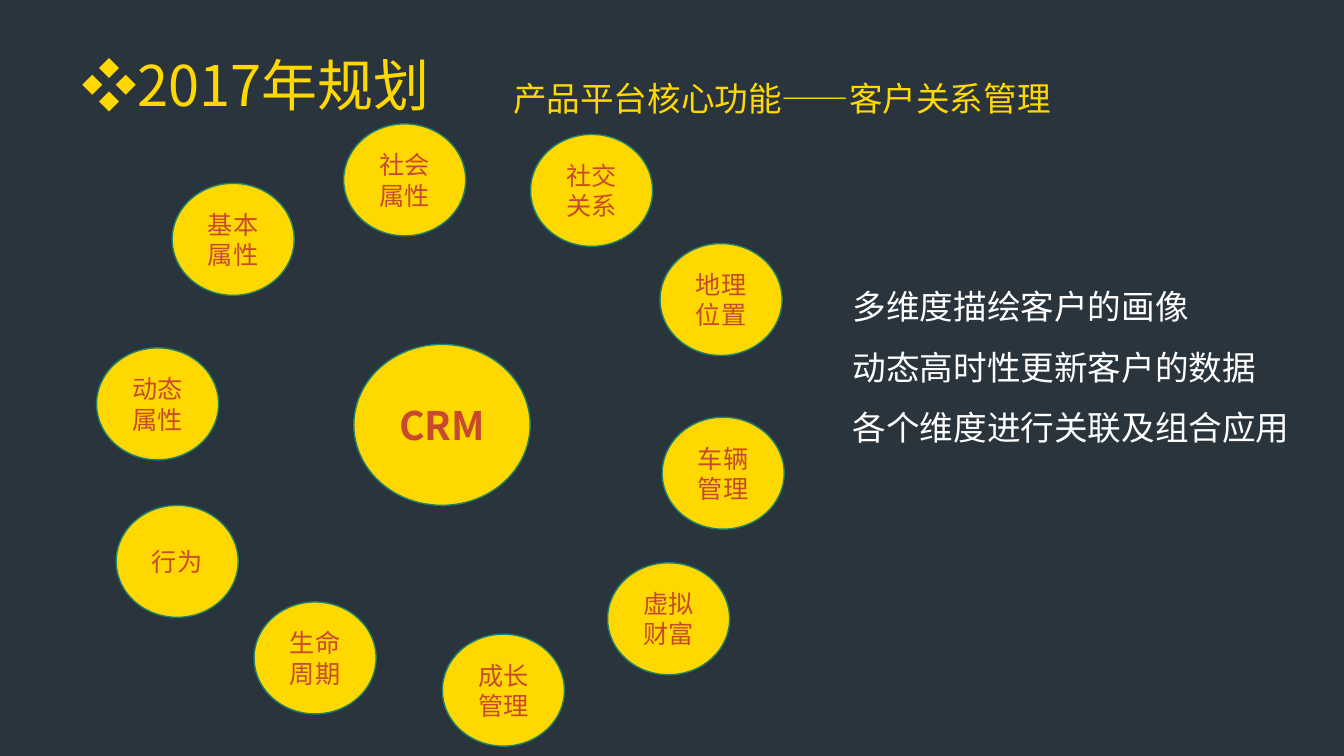
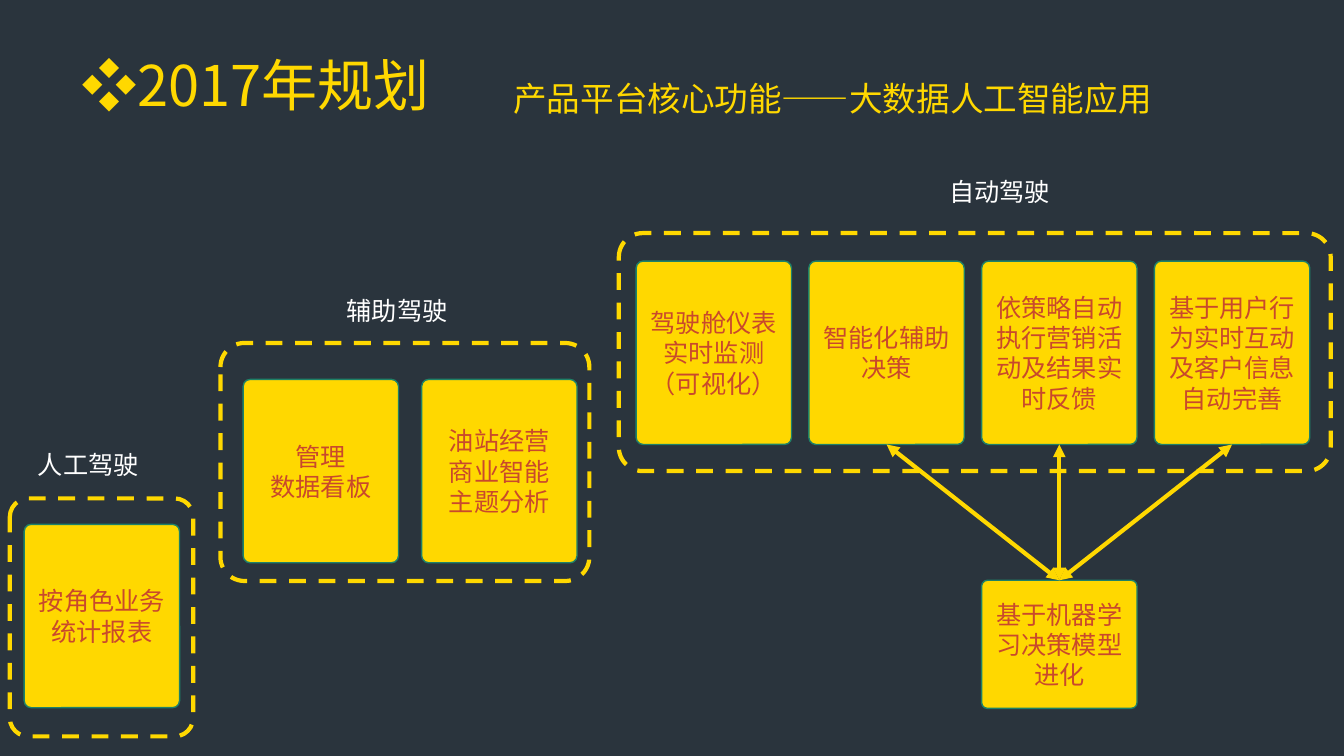
from dataclasses import dataclass

from lxml import etree
from pptx import Presentation
from pptx.dml.color import RGBColor
from pptx.enum.dml import MSO_LINE
from pptx.enum.shapes import MSO_CONNECTOR, MSO_SHAPE
from pptx.enum.text import MSO_ANCHOR, MSO_AUTO_SIZE, PP_ALIGN
from pptx.oxml.ns import qn
from pptx.shapes.autoshape import Shape
from pptx.slide import Slide
from pptx.text.text import TextFrame
from pptx.util import Pt

OVAL = MSO_SHAPE.OVAL
ROUNDED = MSO_SHAPE.ROUNDED_RECTANGLE
STRAIGHT = MSO_CONNECTOR.STRAIGHT
DASH = MSO_LINE.DASH
LEFT, CENTER = PP_ALIGN.LEFT, PP_ALIGN.CENTER
MIDDLE = MSO_ANCHOR.MIDDLE
GROW = MSO_AUTO_SIZE.SHAPE_TO_FIT_TEXT
TOP_SIDE, BOTTOM_SIDE = 0, 2


@dataclass(frozen=True)
class Theme:
    font: str = "Noto Sans CJK SC"
    background: RGBColor = RGBColor(0x2A, 0x34, 0x3D)
    accent: RGBColor = RGBColor(0xFF, 0xD8, 0x00)
    outline: RGBColor = RGBColor(0x1E, 0x81, 0x68)
    label: RGBColor = RGBColor(0xC9, 0x49, 0x2C)
    light: RGBColor = RGBColor(0xFF, 0xFF, 0xFF)
    title_size: float = 40
    hub_size: float = 28
    body_size: float = 24
    label_size: float = 18
    thin: float = 1
    thick: float = 3


@dataclass(frozen=True)
class Box:
    left: float
    top: float
    width: float
    height: float


@dataclass(frozen=True)
class Style:
    size: float
    color: RGBColor
    bold: bool = False
    align: PP_ALIGN = LEFT
    spacing: float = 1.0


@dataclass(frozen=True)
class Dimension:
    name: str
    left: float
    top: float


@dataclass(frozen=True)
class Stage:
    name: str
    name_left: float
    name_top: float
    frame: Box
    first_left: float
    cards_top: float
    pitch: float
    cards: tuple[str, ...]


THEME = Theme()
TITLE = Style(THEME.title_size, THEME.accent)
SUBTITLE = Style(THEME.body_size, THEME.accent)
BODY = Style(THEME.body_size, THEME.light, spacing=1.5)
STAGE_NAME = Style(THEME.label_size, THEME.light)
LABEL = Style(THEME.label_size, THEME.label, align=CENTER)
HUB = Style(THEME.hub_size, THEME.label, bold=True, align=CENTER)

BUBBLE_WIDTH, BUBBLE_HEIGHT = 87.2, 80
CARD_WIDTH, CARD_HEIGHT = 111, 131
FRAME_HEIGHT = 170
CARD_ROUNDING, FRAME_ROUNDING = 0.045, 0.101

DIMENSIONS = (
    Dimension("基本属性", 123, 131),
    Dimension("动态属性", 69, 248.5),
    Dimension("行为", 83, 361),
    Dimension("生命周期", 181.5, 430),
    Dimension("社会属性", 245.5, 88.5),
    Dimension("车辆管理", 473, 298),
    Dimension("成长管理", 316, 453),
    Dimension("社交关系", 379, 96),
    Dimension("虚拟财富", 434, 402),
    Dimension("地理位置", 471.5, 174),
)
BENEFITS = "多维度描绘客户的画像\n动态高时性更新客户的数据\n各个维度进行关联及组合应用"

MANUAL = Stage("人工驾驶", 20, 317.5, Box(7, 356, 131, FRAME_HEIGHT),
               17.3, 374.5, 0, ("按角色业务统计报表",))
ASSISTED = Stage("辅助驾驶", 240.5, 207.5, Box(157.5, 245, 263.5, FRAME_HEIGHT),
                 173.7, 271, 127.5, ("管理\n数据看板", "油站经营\n商业智能\n主题分析"))
AUTOMATIC = Stage("自动驾驶", 671, 122.5, Box(442, 166.5, 508.5, FRAME_HEIGHT),
                  454.4, 186.5, 123.4,
                  ("驾驶舱仪表\n实时监测\n（可视化）", "智能化辅助\n决策",
                   "依策略自动执行营销活动及结果实时反馈",
                   "基于用户行为实时互动及客户信息自动完善"))


def write(frame: TextFrame, text: str, style: Style) -> None:
    """Fill a text frame, one paragraph for each line of text."""
    for index, line in enumerate(text.split("\n")):
        paragraph = frame.add_paragraph() if index else frame.paragraphs[0]
        paragraph.alignment = style.align
        paragraph.line_spacing = style.spacing
        run = paragraph.add_run()
        run.text = line
        font = run.font
        font.name, font.size, font.bold = THEME.font, Pt(style.size), style.bold
        font.color.rgb = style.color
        east_asian = etree.SubElement(font._element, qn("a:ea"))
        east_asian.set("typeface", THEME.font)


def add_text(slide: Slide, box: Box, text: str, style: Style, wrap: bool = False) -> None:
    frame = slide.shapes.add_textbox(
        Pt(box.left), Pt(box.top), Pt(box.width), Pt(box.height)).text_frame
    frame.word_wrap = wrap
    frame.auto_size = GROW
    write(frame, text, style)


def add_outline(slide: Slide, kind: MSO_SHAPE, box: Box, color: RGBColor, width: float) -> Shape:
    """Add a preset shape without shadow or fill."""
    shape = slide.shapes.add_shape(
        kind, Pt(box.left), Pt(box.top), Pt(box.width), Pt(box.height))
    shape.shadow.inherit = False
    shape.fill.background()
    shape.line.color.rgb = color
    shape.line.width = Pt(width)
    return shape


def add_node(slide: Slide, kind: MSO_SHAPE, box: Box, text: str, style: Style) -> Shape:
    """Add a filled shape with a centred label."""
    node = add_outline(slide, kind, box, THEME.outline, THEME.thin)
    node.fill.solid()
    node.fill.fore_color.rgb = THEME.accent
    node.text_frame.word_wrap = True
    node.text_frame.vertical_anchor = MIDDLE
    write(node.text_frame, text, style)
    return node


def add_card(slide: Slide, box: Box, text: str) -> Shape:
    card = add_node(slide, ROUNDED, box, text, LABEL)
    card.adjustments[0] = CARD_ROUNDING
    return card


def add_stage(slide: Slide, stage: Stage) -> list[Shape]:
    """Draw a dashed frame with its name and cards, and return the cards."""
    frame = add_outline(slide, ROUNDED, stage.frame, THEME.accent, THEME.thick)
    frame.adjustments[0] = FRAME_ROUNDING
    frame.line.dash_style = DASH
    add_text(slide, Box(stage.name_left, stage.name_top, 87, 29), stage.name, STAGE_NAME)
    return [
        add_card(slide, Box(stage.first_left + index * stage.pitch, stage.cards_top,
                            CARD_WIDTH, CARD_HEIGHT), text)
        for index, text in enumerate(stage.cards)
    ]


def link(slide: Slide, upper: Shape, lower: Shape) -> None:
    """Join two cards with a double-headed arrow."""
    arrow = slide.shapes.add_connector(STRAIGHT, 0, 0, 0, 0)
    arrow.begin_connect(upper, BOTTOM_SIDE)
    arrow.end_connect(lower, TOP_SIDE)
    arrow.line.color.rgb = THEME.accent
    arrow.line.width = Pt(THEME.thick)
    properties = arrow._element.spPr
    outline = properties.find(qn("a:ln"))
    for end in ("a:headEnd", "a:tailEnd"):
        etree.SubElement(outline, qn(end)).set("type", "triangle")
    etree.SubElement(properties, qn("a:effectLst"))


def add_plan_slide(deck: Presentation, topic: str, topic_width: float) -> Slide:
    """Add a slide with the shared background, title and subtitle."""
    slide = deck.slides.add_slide(deck.slide_layouts[6])
    slide.background.fill.solid()
    slide.background.fill.fore_color.rgb = THEME.background
    add_text(slide, Box(51, 32.5, 266, 55.5), "❖2017年规划", TITLE, wrap=True)
    add_text(slide, Box(359.5, 52, topic_width, 36), f"产品平台核心功能——{topic}", SUBTITLE)
    return slide


def build_customer_slide(deck: Presentation) -> None:
    slide = add_plan_slide(deck, "客户关系管理", 407.5)
    add_node(slide, OVAL, Box(252.7, 246, 126, 115), "CRM", HUB)
    for item in DIMENSIONS:
        box = Box(item.left, item.top, BUBBLE_WIDTH, BUBBLE_HEIGHT)
        add_node(slide, OVAL, box, item.name, LABEL)
    add_text(slide, Box(602, 186.5, 330, 138), BENEFITS, BODY)


def build_intelligence_slide(deck: Presentation) -> None:
    slide = add_plan_slide(deck, "大数据人工智能应用", 494.5)
    add_stage(slide, MANUAL)
    add_stage(slide, ASSISTED)
    automatic_cards = add_stage(slide, AUTOMATIC)
    model_left = AUTOMATIC.first_left + 2 * AUTOMATIC.pitch
    model = add_card(slide, Box(model_left, 414.5, CARD_WIDTH, 91.5), "基于机器学习决策模型进化")
    for card in automatic_cards[1:]:
        link(slide, card, model)


def main() -> None:
    deck = Presentation()
    deck.slide_width, deck.slide_height = Pt(960), Pt(540)
    build_customer_slide(deck)
    build_intelligence_slide(deck)
    deck.save("out.pptx")


if __name__ == "__main__":
    main()
